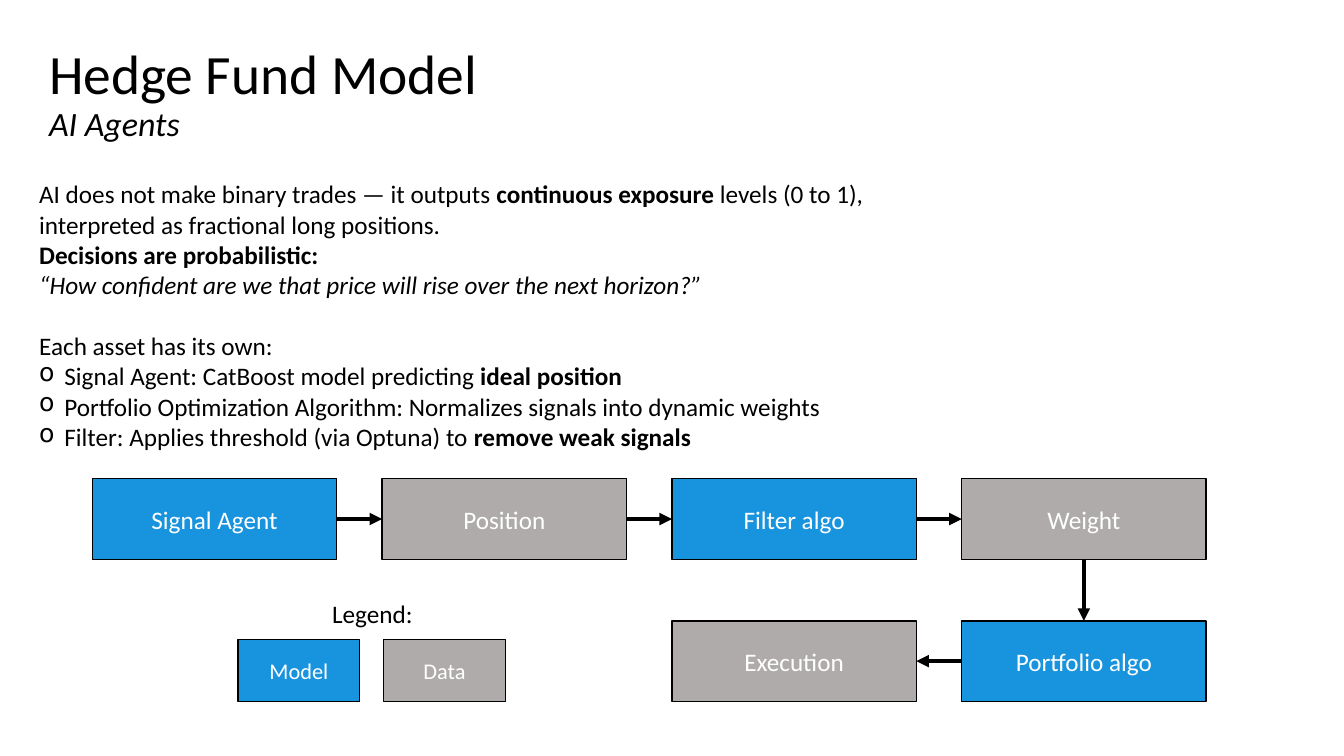
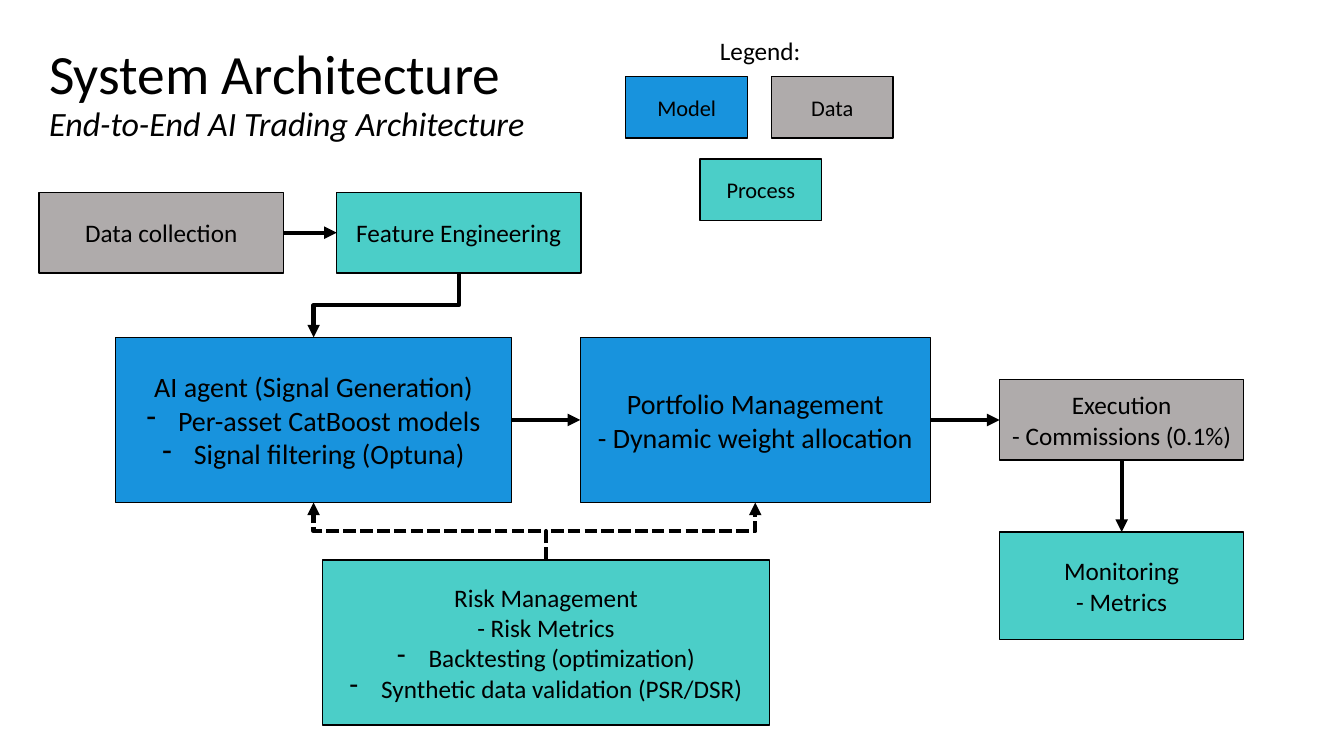
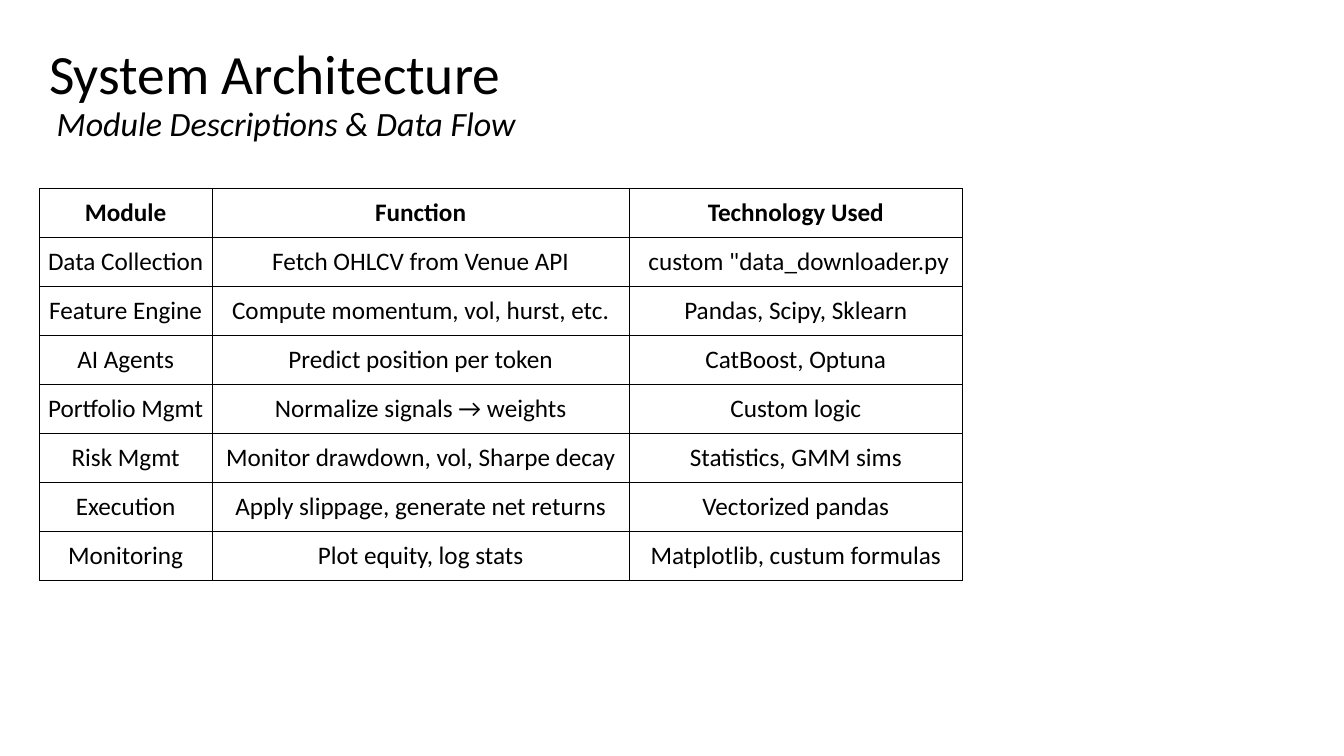
from dataclasses import dataclass

from lxml import etree
from pptx import Presentation
from pptx.dml.color import RGBColor
from pptx.enum.dml import MSO_LINE
from pptx.enum.shapes import MSO_CONNECTOR, MSO_SHAPE
from pptx.enum.text import MSO_ANCHOR, PP_ALIGN
from pptx.oxml.ns import qn
from pptx.util import Pt

# Shared style
COLORS = {"model": "1893DD", "data": "AFABAB", "process": "4BCEC8",
          "black": "000000", "white": "FFFFFF"}
FONT = "Calibri"
LEFT, CENTER = PP_ALIGN.LEFT, PP_ALIGN.CENTER
TOP_ANCHOR, MIDDLE_ANCHOR = MSO_ANCHOR.TOP, MSO_ANCHOR.MIDDLE
RECTANGLE = MSO_SHAPE.RECTANGLE
STRAIGHT, ELBOW = MSO_CONNECTOR.STRAIGHT, MSO_CONNECTOR.ELBOW
DASHED = MSO_LINE.SQUARE_DOT
TOP, LEFT_SIDE, BOTTOM, RIGHT_SIDE = range(4)
MARGIN = 28
BOX_WIDTH, BOX_HEIGHT = 174.5, 57.5
BLANK_LAYOUT = 6


@dataclass
class Line:
    runs: list  # pairs of text and style: "", "b" or "i"
    bullet: str = ""
    indent: float = 0
    size: float = 18
    space_before: float = 0
    spacing: float = 1


def plain(text, size=18):
    return Line([(text, "")], size=size)


def dashed_item(text, size=18):
    return Line([(text, "")], "-", 22.5, size)


def circle_item(*runs):
    return Line(list(runs), "o", 18)


def rgb(name):
    return RGBColor.from_string(COLORS[name])


# Text
def write_lines(frame, lines, color="black", align=LEFT):
    frame.word_wrap = True
    for index, line in enumerate(lines):
        paragraph = frame.paragraphs[0] if index == 0 else frame.add_paragraph()
        paragraph.alignment = align
        paragraph.line_spacing = line.spacing
        paragraph.space_before = Pt(line.space_before)
        if line.bullet:
            properties = paragraph._p.get_or_add_pPr()
            properties.set("marL", str(Pt(line.indent)))
            properties.set("indent", str(-Pt(line.indent)))
            etree.SubElement(properties, qn("a:buChar"), char=line.bullet)
        for text, style in line.runs:
            run = paragraph.add_run()
            run.text = text
            run.font.name = FONT
            run.font.size = Pt(line.size)
            run.font.bold = style == "b"
            run.font.italic = style == "i"
            run.font.color.rgb = rgb(color)


def add_text(slide, left, top, width, height, lines, align=LEFT,
             anchor=TOP_ANCHOR, side_inset=7.2, top_inset=3.6):
    box = slide.shapes.add_textbox(Pt(left), Pt(top), Pt(width), Pt(height))
    frame = box.text_frame
    frame.vertical_anchor = anchor
    frame.margin_left = frame.margin_right = Pt(side_inset)
    frame.margin_top = frame.margin_bottom = Pt(top_inset)
    write_lines(frame, lines, align=align)


def add_titled_slide(presentation, title, subtitle):
    slide = presentation.slides.add_slide(presentation.slide_layouts[BLANK_LAYOUT])
    add_text(slide, MARGIN, 33.5, 828, 72,
             [Line([(title, "")], size=39.6, spacing=0.9),
              Line([(subtitle, "i")], size=24.3, spacing=0.9)], top_inset=0)
    return slide


# Diagram parts
def add_box(slide, left, top, kind, lines, width=BOX_WIDTH, height=BOX_HEIGHT,
            color="black"):
    shape = slide.shapes.add_shape(RECTANGLE, Pt(left), Pt(top), Pt(width), Pt(height))
    shape.shadow.inherit = False
    shape.fill.solid()
    shape.fill.fore_color.rgb = rgb(kind)
    shape.line.color.rgb = rgb("black")
    shape.line.width = Pt(1)
    shape.text_frame.vertical_anchor = MIDDLE_ANCHOR
    write_lines(shape.text_frame, lines, color, CENTER)
    return shape


def add_legend(slide, left, top, entries, color):
    add_text(slide, left + 4, top - 33, 184, 29, [plain("Legend:")], CENTER)
    for text, kind, across, down in entries:
        add_box(slide, left + across, top + down, kind, [plain(text, 16)],
                87, 44, color)


def join(slide, kind, start, start_side, end, end_side, dash=None):
    connector = slide.shapes.add_connector(kind, 0, 0, 0, 0)
    connector.begin_connect(start, start_side)
    connector.end_connect(end, end_side)
    connector.line.color.rgb = rgb("black")
    connector.line.width = Pt(3)
    if dash:
        connector.line.dash_style = dash
    etree.SubElement(connector.line._get_or_add_ln(), qn("a:tailEnd"), type="triangle")
    etree.SubElement(connector._element.spPr, qn("a:effectLst"))
    return connector


def add_arrow(slide, start, start_side, end, end_side):
    join(slide, STRAIGHT, start, start_side, end, end_side)


def add_vertical_elbow(slide, start, start_side, end, end_side, dash=None):
    """Leave and arrive vertically: the elbow is turned by a quarter."""
    connector = join(slide, ELBOW, start, start_side, end, end_side, dash)
    across = connector.end_x - connector.begin_x
    down = connector.end_y - connector.begin_y
    center_x = (connector.begin_x + connector.end_x) // 2
    center_y = (connector.begin_y + connector.end_y) // 2
    transform = connector._element.spPr.find(qn("a:xfrm"))
    transform.attrib.clear()
    transform.set("rot", str((90 if down > 0 else 270) * 60000))
    if (down > 0) == (across > 0):
        transform.set("flipV", "1")
    if down < 0:
        transform.attrib.pop("flipV", None)
        if across < 0:
            transform.set("flipV", "1")
    connector.width, connector.height = abs(down), abs(across)
    connector.left = center_x - abs(down) // 2
    connector.top = center_y - abs(across) // 2


# Table
def add_grid(slide, left, top, widths, row_height, rows):
    table = slide.shapes.add_table(len(rows), len(widths), Pt(left), Pt(top),
                                   Pt(sum(widths)), Pt(row_height * len(rows))).table
    table.first_row = table.horz_banding = False
    for column, width in zip(table.columns, widths):
        column.width = Pt(width)
    for row_index, row in enumerate(rows):
        table.rows[row_index].height = Pt(row_height)
        style = "b" if row_index == 0 else ""
        for column_index, text in enumerate(row):
            cell = table.cell(row_index, column_index)
            cell.vertical_anchor = MIDDLE_ANCHOR
            cell.margin_left = cell.margin_right = cell.margin_top = Pt(0.7)
            cell.margin_bottom = 0
            write_lines(cell.text_frame, [Line([(text, style)])], align=CENTER)
            add_borders(cell)
            cell.fill.background()


def add_borders(cell):
    properties = cell._tc.get_or_add_tcPr()
    for edge in ("a:lnL", "a:lnR", "a:lnT", "a:lnB"):
        line = etree.SubElement(properties, qn(edge), w=str(Pt(0.5)))
        fill = etree.SubElement(line, qn("a:solidFill"))
        etree.SubElement(fill, qn("a:srgbClr"), val=COLORS["black"])


# Slides
def build_model_slide(presentation):
    slide = add_titled_slide(presentation, "Hedge Fund Model", "AI Agents")
    add_text(slide, MARGIN, 120, 665, 210, [
        Line([("AI does not make binary trades — it outputs ", ""),
              ("continuous exposure", "b"),
              (" levels (0 to 1), interpreted as fractional long positions.", "")]),
        Line([("Decisions are probabilistic:", "b")]),
        Line([("“How confident are we that price will rise over the next horizon?”", "i")]),
        Line([("Each asset has its own:", "")], space_before=22),
        circle_item(("Signal Agent: CatBoost model predicting ", ""),
                    ("ideal position", "b")),
        circle_item(("Portfolio Optimization Algorithm: "
                     "Normalizes signals into dynamic weights", "")),
        circle_item(("Filter: Applies threshold (via Optuna) to ", ""),
                    ("remove weak signals", "b")),
    ], anchor=MIDDLE_ANCHOR, side_inset=0, top_inset=6.5)

    # Flow: grid of four columns and two rows
    steps = [("Signal Agent", "model", 0, 0), ("Position", "data", 1, 0),
             ("Filter algo", "model", 2, 0), ("Weight", "data", 3, 0),
             ("Portfolio algo", "model", 3, 1), ("Execution", "data", 2, 1)]
    boxes = [add_box(slide, 66 + 207 * column, 342 + 101.5 * row, kind,
                     [plain(text)], color="white")
             for text, kind, column, row in steps]
    sides = [(RIGHT_SIDE, LEFT_SIDE)] * 3 + [(BOTTOM, TOP), (LEFT_SIDE, RIGHT_SIDE)]
    for start, end, (start_side, end_side) in zip(boxes, boxes[1:], sides):
        add_arrow(slide, start, start_side, end, end_side)
    add_legend(slide, 170, 457, [("Model", "model", 0, 0), ("Data", "data", 104, 0)],
               "white")


def build_architecture_slide(presentation):
    slide = add_titled_slide(presentation, "System Architecture",
                             "End-to-End AI Trading Architecture")
    add_legend(slide, 447, 54.5, [("Model", "model", 0, 0), ("Data", "data", 104, 0),
                                  ("Process", "process", 53, 59)], "black")

    # Boxes
    collection = add_box(slide, MARGIN, 137.5, "data", [plain("Data collection")])
    features = add_box(slide, 240.5, 137.5, "process", [plain("Feature Engineering")])
    agent = add_box(slide, 82.5, 241, "model", [
        plain("AI agent (Signal Generation)", 20),
        dashed_item("Per-asset CatBoost models", 20),
        dashed_item("Signal filtering (Optuna)", 20)], 283, 118)
    portfolio = add_box(slide, 414.5, 241, "model", [
        plain("Portfolio Management", 20),
        plain("- Dynamic weight allocation", 20)], 250, 118)
    execution = add_box(slide, 714, 271.25, "data", [
        plain("Execution"), plain("- Commissions (0.1%)")])
    monitoring = add_box(slide, 714, 380, "process", [
        plain("Monitoring"), plain("- Metrics")], height=77)
    risk = add_box(slide, 230.5, 400, "process", [
        plain("Risk Management"), plain("- Risk Metrics"),
        dashed_item("Backtesting (optimization)"),
        dashed_item("Synthetic data validation (PSR/DSR)")], 319, 118)

    # Arrows
    for start, end in ((collection, features), (agent, portfolio),
                       (portfolio, execution)):
        add_arrow(slide, start, RIGHT_SIDE, end, LEFT_SIDE)
    add_arrow(slide, execution, BOTTOM, monitoring, TOP)
    add_vertical_elbow(slide, features, BOTTOM, agent, TOP)
    for target in (agent, portfolio):
        add_vertical_elbow(slide, risk, TOP, target, BOTTOM, DASHED)


def build_modules_slide(presentation):
    slide = add_titled_slide(presentation, "System Architecture",
                             " Module Descriptions & Data Flow")
    add_grid(slide, MARGIN, 134.5, [123.5, 298, 238], 35, [
        ("Module", "Function", "Technology Used"),
        ("Data Collection", "Fetch OHLCV from Venue API", ' custom "data_downloader.py'),
        ("Feature Engine", "Compute momentum, vol, hurst, etc.",
         "Pandas, Scipy, Sklearn"),
        ("AI Agents", "Predict position per token", "CatBoost, Optuna"),
        ("Portfolio Mgmt", "Normalize signals → weights", "Custom logic"),
        ("Risk Mgmt", "Monitor drawdown, vol, Sharpe decay", "Statistics, GMM sims"),
        ("Execution", "Apply slippage, generate net returns", "Vectorized pandas"),
        ("Monitoring", "Plot equity, log stats", "Matplotlib, custum formulas"),
    ])


def main():
    presentation = Presentation()
    presentation.slide_width, presentation.slide_height = Pt(960), Pt(540)
    build_model_slide(presentation)
    build_architecture_slide(presentation)
    build_modules_slide(presentation)
    presentation.save("out.pptx")


if __name__ == "__main__":
    main()
